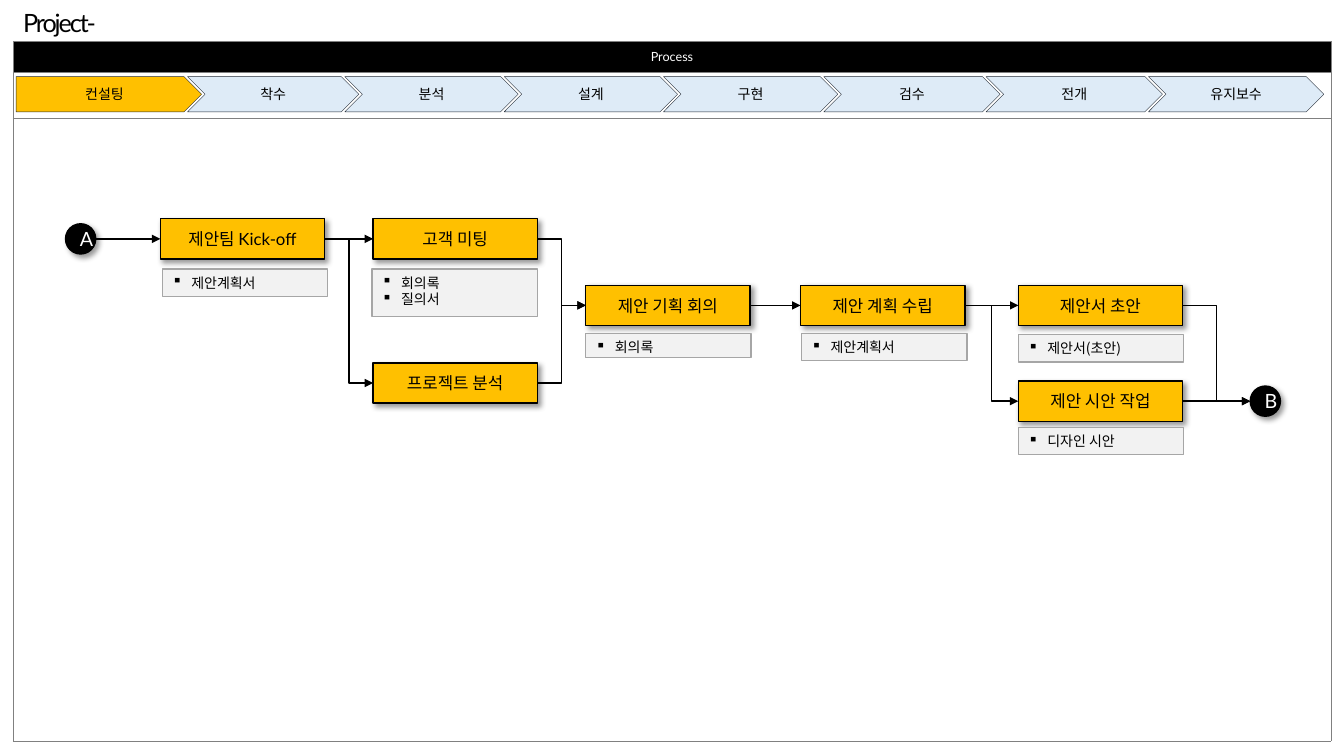
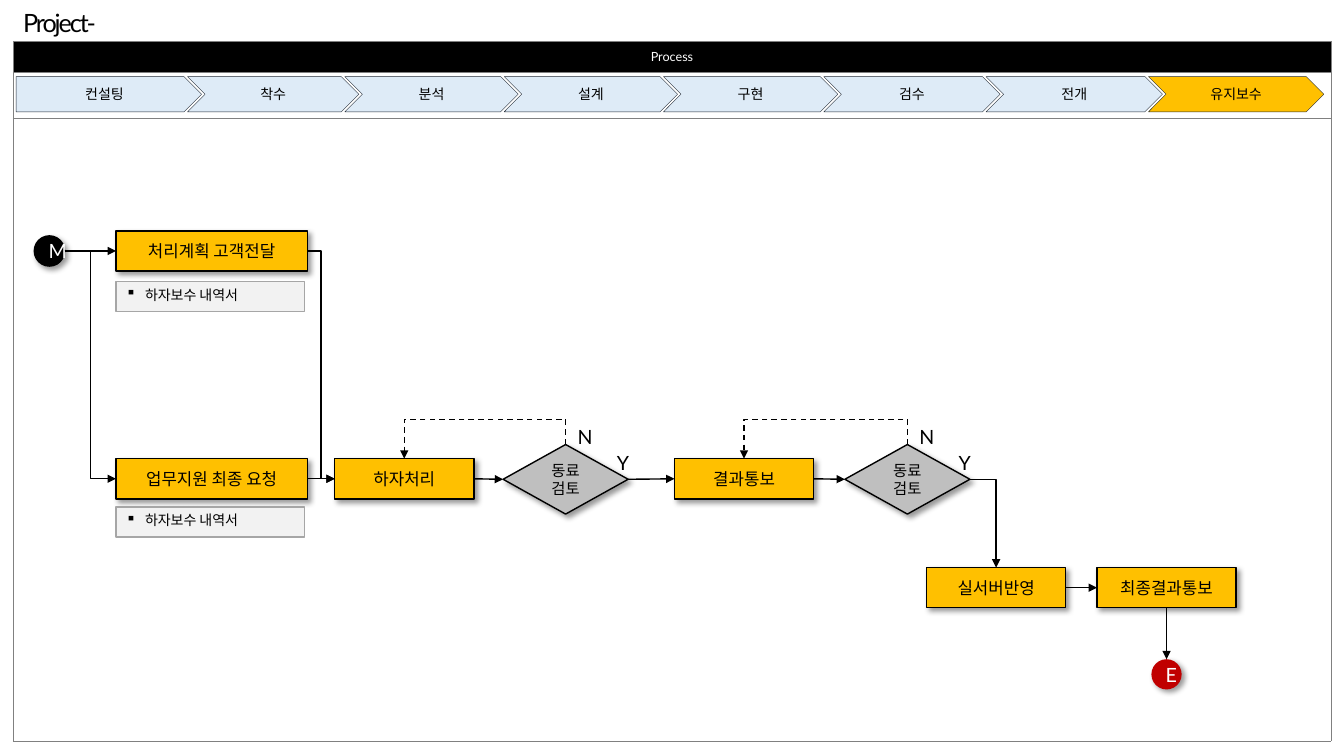
from collections import namedtuple
from itertools import pairwise

from lxml.etree import SubElement
from pptx import Presentation
from pptx.dml.color import RGBColor
from pptx.enum.dml import MSO_LINE
from pptx.enum.shapes import MSO_CONNECTOR, MSO_SHAPE
from pptx.enum.text import MSO_ANCHOR, MSO_AUTO_SIZE, PP_ALIGN
from pptx.oxml.ns import qn
from pptx.util import Pt

PX = 9144
COLORS = {
    "black": "000000",
    "white": "FFFFFF",
    "active": "FFC000",
    "phase": "DEEBF7",
    "phase_line": "222A35",
    "note": "F2F2F2",
    "note_line": "A6A6A6",
    "review": "BFBFBF",
    "end": "C00000",
    "grid": "808080",
}
LATIN = "Lato"
KOREAN = "Noto Sans CJK KR"
TEXT_STYLES = {
    "title": {"name": LATIN, "size": Pt(18)},
    "header": {"name": LATIN, "size": Pt(9)},
    "phase": {"name": LATIN, "size": Pt(10)},
    "step": {"name": LATIN, "size": Pt(12)},
    "review": {"name": LATIN, "size": Pt(11)},
    "mark": {"name": LATIN, "size": Pt(14)},
    "note": {"name": KOREAN, "size": Pt(10)},
}
PHASES = ["컨설팅", "착수", "분석", "설계", "구현", "검수", "전개", "유지보수"]
PHASE_LEFTS = [3, 173, 329, 487, 645, 804, 965, 1126, 1286]
PHASE_OVERLAP = 14
ROW_HEIGHTS = [31, 45, 618]
STEP_HEIGHT = 40
MARK_SIZE = 30
LOOP_LIFT = 25
SIDES = {"top": (0.5, 0), "left": (0, 0.5), "bottom": (0.5, 1), "right": (1, 0.5)}

Box = namedtuple("Box", "left top width height")
FRAME = Box(13, 41, 1307, sum(ROW_HEIGHTS))
PHASE_ROW = Box(FRAME.left, FRAME.top + ROW_HEIGHTS[0], FRAME.width, ROW_HEIGHTS[1])
FLOW = Box(FRAME.left, PHASE_ROW.top + PHASE_ROW.height, FRAME.width, ROW_HEIGHTS[2])


def color(name):
    return RGBColor.from_string(COLORS[name])


def emu(box):
    return [value * PX for value in box]


def inside(box, left, top, width, height):
    return Box(box.left + left, box.top + top, width, height)


def set_values(target, values):
    for name, value in values.items():
        setattr(target, name, value)


def write(frame, lines, style, ink="black", align=PP_ALIGN.CENTER, bullet=None):
    for index, line in enumerate(lines):
        para = frame.paragraphs[0] if index == 0 else frame.add_paragraph()
        para.alignment = align
        if bullet:
            properties = para._p.get_or_add_pPr()
            properties.set("marL", str(19 * PX))
            properties.set("indent", str(-19 * PX))
            SubElement(properties, qn("a:buChar"), char=bullet)
        span = para.add_run()
        span.text = line
        set_values(span.font, TEXT_STYLES[style])
        span.font.color.rgb = color(ink)
        SubElement(span._r.get_or_add_rPr(), qn("a:ea"), typeface=KOREAN)


def add_figure(page, kind, box, fill, line, weight=1.0, shadow=False):
    shape = page.shapes.add_shape(kind, *emu(box))
    shape.fill.solid()
    shape.fill.fore_color.rgb = color(fill)
    if line:
        shape.line.color.rgb = color(line)
        shape.line.width = Pt(weight)
    else:
        shape.line.fill.background()
    shape.shadow.inherit = False
    if shadow:
        effects = shape._element.spPr.find(qn("a:effectLst"))
        outer = SubElement(effects, qn("a:outerShdw"), blurRad=str(Pt(4)), dist=str(Pt(3)),
                           dir="2700000", algn="tl", rotWithShape="0")
        tint = SubElement(outer, qn("a:srgbClr"), val=COLORS["black"])
        SubElement(tint, qn("a:alpha"), val="40000")
    return shape


def add_step(page, box, text):
    shape = add_figure(page, MSO_SHAPE.RECTANGLE, box, "active", "black", shadow=True)
    write(shape.text_frame, [text], "step")
    return shape


def add_mark(page, box, text, fill="black", line="black"):
    shape = add_figure(page, MSO_SHAPE.OVAL, box, fill, line, shadow=True)
    write(shape.text_frame, [text], "mark", "white")
    return shape


def add_note(page, box, lines):
    shape = add_figure(page, MSO_SHAPE.RECTANGLE, box, "note", "note_line")
    shape.text_frame.vertical_anchor = MSO_ANCHOR.TOP
    write(shape.text_frame, lines, "note", align=PP_ALIGN.LEFT, bullet="▪")


def add_review(page, box):
    shape = add_figure(page, MSO_SHAPE.DIAMOND, box, "review", "black", shadow=True)
    write(shape.text_frame, ["동료", "검토"], "review")
    for text, left, top, width in [("Y", 103, 1, 32), ("N", 64, -24, 35)]:
        label = page.shapes.add_textbox(*emu(inside(box, left, top, width, 34)))
        set_values(label.text_frame, {"word_wrap": False, "auto_size": MSO_AUTO_SIZE.SHAPE_TO_FIT_TEXT})
        write(label.text_frame, [text], "mark", align=PP_ALIGN.LEFT)
    return shape


def site_point(shape, side):
    across, down = SIDES[side]
    return int(shape.left + across * shape.width), int(shape.top + down * shape.height)


def site_index(shape, side):
    step = 2 if shape.auto_shape_type == MSO_SHAPE.OVAL else 1
    return list(SIDES).index(side) * step


def link(page, source, target, leave="right", enter="left", elbow=False):
    kind = MSO_CONNECTOR.ELBOW if elbow else MSO_CONNECTOR.STRAIGHT
    connector = page.shapes.add_connector(kind, *site_point(source, leave), *site_point(target, enter))
    connector.line.color.rgb = color("black")
    connector.line.width = Pt(1)
    SubElement(connector.line._get_or_add_ln(), qn("a:tailEnd"), type="triangle")
    SubElement(connector._element.spPr, qn("a:effectLst"))
    ends = connector._element.find(qn("p:nvCxnSpPr")).find(qn("p:cNvCxnSpPr"))
    for tag, shape, side in [("a:stCxn", source, leave), ("a:endCxn", target, enter)]:
        SubElement(ends, qn(tag), id=str(shape.shape_id), idx=str(site_index(shape, side)))
    return connector


def link_corner(page, source, target):
    connector = link(page, source, target, "right", "top", elbow=True)
    connector._element.spPr.find(qn("a:prstGeom")).set("prst", "bentConnector2")


def link_back(page, source, target):
    connector = link(page, source, target, "top", "top", elbow=True)
    connector.line.dash_style = MSO_LINE.DASH
    run, drop = connector.width, connector.height
    middle, center = connector.left + run // 2, connector.top + drop // 2
    set_values(connector, {"left": middle - drop // 2, "top": center - run // 2,
                           "width": drop, "height": run})
    properties = connector._element.spPr
    transform = properties.find(qn("a:xfrm"))
    for name, value in {"rot": "16200000", "flipH": "1", "flipV": "1"}.items():
        transform.set(name, value)
    guides = properties.find(qn("a:prstGeom")).find(qn("a:avLst"))
    bend = round(-LOOP_LIFT * PX / drop * 100000)
    SubElement(guides, qn("a:gd"), name="adj1", fmla=f"val {bend}")


def add_title(page, box):
    title = page.shapes.title
    set_values(title, dict(zip(["left", "top", "width", "height"], emu(box))))
    set_values(title.text_frame, {"word_wrap": False, "vertical_anchor": MSO_ANCHOR.TOP,
                                  "auto_size": MSO_AUTO_SIZE.SHAPE_TO_FIT_TEXT})
    write(title.text_frame, ["Project-"], "title", align=PP_ALIGN.LEFT)
    title.text_frame.paragraphs[0].runs[0]._r.get_or_add_rPr().set("spc", "-150")


def add_frame(page, box):
    table = page.shapes.add_table(len(ROW_HEIGHTS), 1, *emu(box)).table
    for row, height in zip(table.rows, ROW_HEIGHTS):
        row.height = height * PX
        cell = row.cells[0]
        cell.vertical_anchor = MSO_ANCHOR.MIDDLE
        properties = cell._tc.get_or_add_tcPr()
        for edge in ["a:lnL", "a:lnR", "a:lnT", "a:lnB"]:
            border = SubElement(properties, qn(edge), w=str(Pt(0.5)))
            paint = SubElement(border, qn("a:solidFill"))
            SubElement(paint, qn("a:srgbClr"), val=COLORS["grid"])
        cell.fill.background()
    header = table.cell(0, 0)
    header.fill.solid()
    header.fill.fore_color.rgb = color("black")
    write(header.text_frame, ["Process"], "header", "white")


def add_phases(page, box, active):
    for text, (left, following) in zip(PHASES, pairwise(PHASE_LEFTS)):
        kind = MSO_SHAPE.PENTAGON if text == PHASES[0] else MSO_SHAPE.CHEVRON
        place = inside(box, left, 4, following - left + PHASE_OVERLAP, 35)
        fill = "active" if text == active else "phase"
        shape = add_figure(page, kind, place, fill, "phase_line", 0.25)
        write(shape.text_frame, [text], "phase")


def add_consulting_flow(page, box):
    steps = [
        ("제안팀 Kick-off", 146, 100), ("고객 미팅", 357, 100), ("프로젝트 분석", 357, 243),
        ("제안 기획 회의", 568, 166), ("제안 계획 수립", 781, 166),
        ("제안서 초안", 997, 166), ("제안 시안 작업", 997, 261),
    ]
    kickoff, meeting, analysis, planning, schedule, draft, design = [
        add_step(page, inside(box, left, top, 163, STEP_HEIGHT), text) for text, left, top in steps]
    start, finish = [
        add_mark(page, inside(box, left, top, MARK_SIZE, MARK_SIZE), text)
        for text, left, top in [("A", 52, 105), ("B", 1227, 266)]]
    notes = [
        (["제안계획서"], 148, 150, 27), (["회의록", "질의서"], 356, 150, 47),
        (["회의록"], 568, 214, 24), (["제안계획서"], 782, 214, 27),
        (["제안서(초안)"], 997, 215, 27), (["디자인 시안"], 997, 307, 27),
    ]
    for lines, left, top, height in notes:
        add_note(page, inside(box, left, top, 164, height), lines)
    for source, target in [(start, kickoff), (kickoff, meeting), (planning, schedule),
                           (schedule, draft), (design, finish)]:
        link(page, source, target)
    for source, target in [(kickoff, analysis), (meeting, planning), (analysis, planning),
                           (schedule, design), (draft, finish)]:
        link(page, source, target, elbow=True)


def add_maintenance_flow(page, box):
    steps = [
        ("처리계획 고객전달", 102, 112, 190), ("업무지원 최종 요청", 102, 338, 190),
        ("하자처리", 319, 338, 138), ("결과통보", 656, 338, 138),
        ("실서버반영", 906, 446, 138), ("최종결과통보", 1075, 446, 138),
    ]
    plan, request, repair, report, release, closing = [
        add_step(page, inside(box, left, top, width, STEP_HEIGHT), text)
        for text, left, top, width in steps]
    start = add_mark(page, inside(box, 21, 117, MARK_SIZE, MARK_SIZE), "M")
    finish = add_mark(page, inside(box, 1129, 537, MARK_SIZE, MARK_SIZE), "E", "end", None)
    repair_review, report_review = [
        add_review(page, inside(box, left, 324, 124, 69)) for left in [486, 825]]
    for top in [162, 386]:
        add_note(page, inside(box, 102, top, 187, 30), ["하자보수 내역서"])
    for source, target in [(start, plan), (request, repair), (repair, repair_review),
                           (repair_review, report), (report, report_review), (release, closing)]:
        link(page, source, target)
    for source, target in [(start, request), (plan, repair)]:
        link(page, source, target, elbow=True)
    for source, target in [(repair_review, repair), (report_review, report)]:
        link_back(page, source, target)
    link_corner(page, report_review, release)
    link(page, closing, finish, "bottom", "top")


def add_process_page(deck, active, add_flow):
    page = deck.slides.add_slide(deck.slide_layouts[5])
    add_title(page, Box(13, 2, 165, 40))
    add_frame(page, FRAME)
    add_phases(page, PHASE_ROW, active)
    add_flow(page, FLOW)


def main():
    deck = Presentation()
    set_values(deck, {"slide_width": 1333 * PX, "slide_height": 750 * PX})
    add_process_page(deck, "컨설팅", add_consulting_flow)
    add_process_page(deck, "유지보수", add_maintenance_flow)
    deck.save("out.pptx")


if __name__ == "__main__":
    main()
